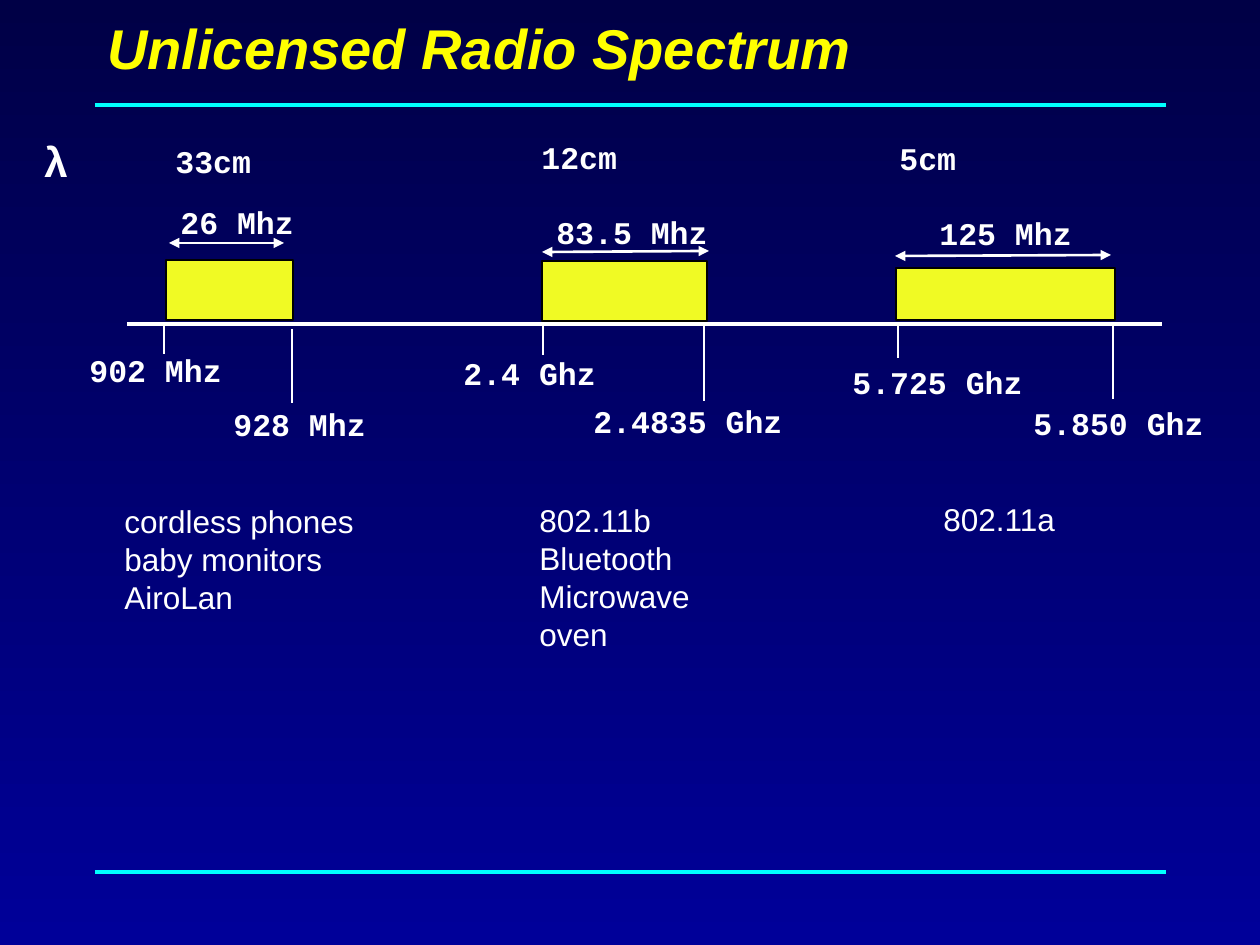
from lxml import etree
from pptx import Presentation
from pptx import util as u
from pptx.dml.color import RGBColor
from pptx.enum import shapes, text
from pptx.oxml.ns import qn

PIXEL = 914400 / 126
THEME = {
    "top": "000046", "bottom": "000099", "rule": "00FFFF", "title": "FFFF00",
    "ink": "FFFFFF", "block": "F0FA24", "outline": "000000",
    "sans": "Arial", "mono": "Courier New",
    "title_size": 32, "symbol_size": 24, "body_size": 18,
}
TITLE = ("Unlicensed Radio Spectrum", (95, 0, 1071, 95))
SYMBOL = ("λ", (32, 129, 48, 63))
RULES = [(95, 105, 1166, 105), (95, 872, 1166, 872)]
AXIS = (127, 324, 1162, 324)
BANDS = [
    {
        "block": (166, 260, 127, 60),
        "arrow": (169, 243, 284, 243),
        "ticks": [(164, 323, 354), (292, 329, 403)],
        "labels": [("33cm", 163, 136), ("26 Mhz", 168, 197),
                   ("902 Mhz", 77, 345), ("928 Mhz", 221, 399)],
        "uses": (["cordless phones", "baby monitors", "AiroLan"], 112, 496, 255),
    },
    {
        "block": (542, 261, 165, 60),
        "arrow": (542, 252, 709, 251),
        "ticks": [(543, 325, 355), (704, 326, 401)],
        "labels": [("12cm", 529, 132), ("83.5 Mhz", 544, 207),
                   ("2.4 Ghz", 451, 348), ("2.4835 Ghz", 581, 396)],
        "uses": (["802.11b", "Bluetooth", "Microwave oven"], 527, 495, 252),
    },
    {
        "block": (896, 268, 219, 52),
        "arrow": (895, 256, 1111, 255),
        "ticks": [(898, 326, 358), (1113, 325, 399)],
        "labels": [("5cm", 887, 133), ("125 Mhz", 927, 208),
                   ("5.725 Ghz", 840, 357), ("5.850 Ghz", 1021, 398)],
        "uses": (["802.11a"], 931, 494, 139),
    },
]
PADDING_X, PADDING_Y = 25, 13
CHARACTER_WIDTH, LINE_HEIGHT = 18.9, 37.8


def emu(*pixels):
    return [u.Emu(round(value * PIXEL)) for value in pixels]


def color(name):
    return RGBColor.from_string(THEME[name])


def add_text(lines, box, size="body_size", font="sans", ink="ink", bold=False,
             italic=False, wrap=False, anchor=text.MSO_ANCHOR.TOP):
    frame = slide.shapes.add_textbox(*emu(*box)).text_frame
    frame.word_wrap = wrap
    frame.vertical_anchor = anchor
    frame.text = "\n".join(lines)
    for paragraph in frame.paragraphs:
        paragraph.alignment = text.PP_ALIGN.LEFT
        style = paragraph.runs[0].font
        style.name, style.size = THEME[font], u.Pt(THEME[size])
        style.bold, style.italic = bold, italic
        style.color.rgb = color(ink)


def add_line(ends, width, ink="ink", arrows=False):
    connector = slide.shapes.add_connector(shapes.MSO_CONNECTOR.STRAIGHT, *emu(*ends))
    connector.line.color.rgb = color(ink)
    connector.line.width = u.Pt(width)
    if arrows:
        outline = connector.line._get_or_add_ln()
        for end in ("a:headEnd", "a:tailEnd"):
            etree.SubElement(outline, qn(end), type="triangle")
    etree.SubElement(connector._element.spPr, qn("a:effectLst"))


def add_block(box):
    shape = slide.shapes.add_shape(shapes.MSO_SHAPE.RECTANGLE, *emu(*box))
    shape.shadow.inherit = False
    shape.fill.solid()
    shape.fill.fore_color.rgb = color("block")
    shape.line.color.rgb = color("outline")
    shape.line.width = u.Pt(1)


presentation = Presentation()
presentation.slide_width, presentation.slide_height = emu(1260, 945)
slide = presentation.slides.add_slide(presentation.slide_layouts[6])
background = slide.background.fill
background.gradient()
background.gradient_angle = 270
for stop, name in zip(background.gradient_stops, ("top", "bottom")):
    stop.color.rgb = color(name)

for rule in RULES:
    add_line(rule, 2, ink="rule")
add_text([TITLE[0]], TITLE[1], size="title_size", ink="title", bold=True,
         italic=True, wrap=True, anchor=text.MSO_ANCHOR.MIDDLE)
add_text([SYMBOL[0]], SYMBOL[1], size="symbol_size", bold=True)
add_line(AXIS, 2.25)

for band in BANDS:
    add_block(band["block"])
    add_line(band["arrow"], 1.5, arrows=True)
    for x, top, bottom in band["ticks"]:
        add_line((x, top, x, bottom), 1)
    for label, left, top in band["labels"]:
        width = PADDING_X + CHARACTER_WIDTH * len(label)
        add_text([label], (left, top, width, PADDING_Y + LINE_HEIGHT), font="mono", bold=True)
    uses, left, top, width = band["uses"]
    add_text(uses, (left, top, width, PADDING_Y + LINE_HEIGHT * len(uses)))

presentation.save("out.pptx")
